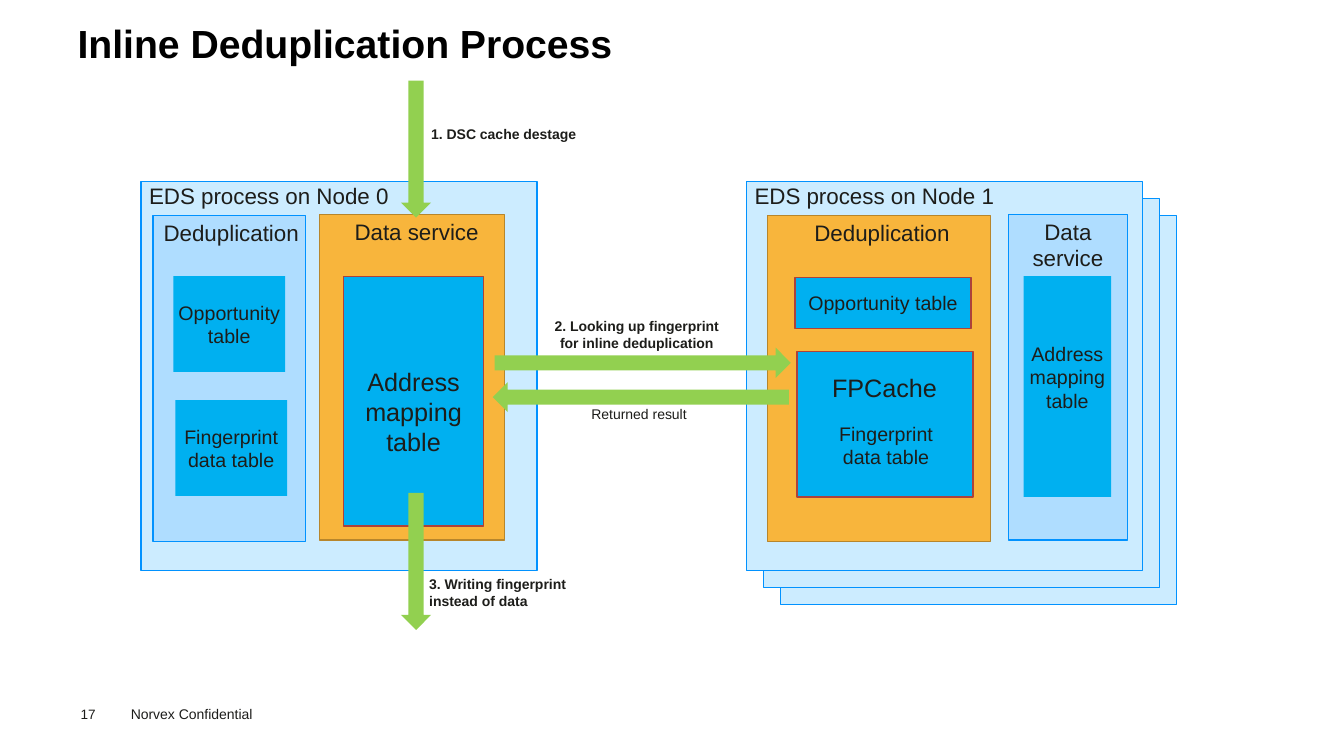
from pptx import Presentation
from pptx import util as u
from pptx.dml.color import RGBColor
from pptx.enum import shapes, text

EMU_PER_PX = 9144
COLORS = {
    "ink": "1D1D1A", "title": "000000", "footer": "1D1D1B",
    "node": "CCECFF", "panel": "AFDDFF", "blue": "0192FF",
    "active": "F8B53C", "active_line": "B7862C",
    "table": "00B0F0", "red": "AD423A", "arrow": "92D050",
}
SHAPE = shapes.MSO_SHAPE
TOP, MIDDLE, BOTTOM = (text.MSO_ANCHOR.TOP, text.MSO_ANCHOR.MIDDLE,
                       text.MSO_ANCHOR.BOTTOM)
LEFT, CENTER = text.PP_ALIGN.LEFT, text.PP_ALIGN.CENTER
NODE_W, NODE_H, PANEL_H, STACK_STEP = 393, 386, 323, 17


def px(n):
    return u.Emu(n * EMU_PER_PX)


def color(name):
    return RGBColor.from_string(COLORS[name])


def write(holder, lines, size, align=LEFT, anchor=TOP, inset=(0, 0, 0, 0),
          ink="ink", bold=False):
    frame = holder.text_frame
    frame.word_wrap = True
    frame.vertical_anchor = anchor
    (frame.margin_left, frame.margin_top,
     frame.margin_right, frame.margin_bottom) = map(px, inset)
    frame.text = lines
    for paragraph in frame.paragraphs:
        paragraph.alignment = align
        font = paragraph.font
        font.name, font.size, font.bold = "Arial", u.Pt(size), bold
        font.color.rgb = color(ink)


def label(slide, box, lines, size, **style):
    write(slide.shapes.add_textbox(*map(px, box)), lines, size, **style)


def block(slide, box, fill, line=None, kind=SHAPE.RECTANGLE):
    shape = slide.shapes.add_shape(kind, *map(px, box))
    shape.shadow.inherit = False
    shape.fill.solid()
    shape.fill.fore_color.rgb = color(fill)
    if line:
        shape.line.color.rgb = color(line)
        shape.line.width = u.Pt(1)
    else:
        shape.line.fill.background()
    return shape


def panel(slide, box, heading, active=False, nudge=0):
    fill, line = ("active", "active_line") if active else ("panel", "blue")
    service = block(slide, box, fill, line)
    write(service, heading, 16, CENTER, inset=(nudge, 3, 0, 0))


def table(slide, box, lines, size=14, active=False, anchor=MIDDLE,
          inset=(0, 0, 0, 0)):
    store = block(slide, box, "table", "red" if active else None)
    write(store, lines, size, CENTER, anchor, inset)


def node(slide, left, top, heading, copies=1):
    for depth in reversed(range(copies)):
        shift = depth * STACK_STEP
        process = block(slide, (left + shift, top + shift, NODE_W, NODE_H),
                        "node", "blue")
    write(process, heading, 16, inset=(8, 1, 0, 0))


def requesting_node(slide, left, top):
    node(slide, left, top, "EDS process on Node 0")
    panel(slide, (left + 12, top + 34, 151, PANEL_H), "Deduplication", nudge=4)
    table(slide, (left + 32, top + 94, 111, 95), "Opportunity table")
    table(slide, (left + 34, top + 217, 111, 95), "Fingerprint\ndata table")
    panel(slide, (left + 177, top + 33, 184, PANEL_H), "Data service",
          active=True, nudge=9)
    table(slide, (left + 201, top + 94, 139, 248), "Address mapping table",
          size=18, active=True, inset=(10, 20, 10, 0))


def lookup_node(slide, left, top):
    node(slide, left, top, "EDS process on Node 1", copies=3)
    panel(slide, (left + 21, top + 34, 221, PANEL_H), "Deduplication",
          active=True, nudge=6)
    table(slide, (left + 48, top + 95, 175, 51), "Opportunity table",
          active=True)
    table(slide, (left + 50, top + 169, 175, 144), "Fingerprint\ndata table",
          active=True, anchor=BOTTOM, inset=(2, 0, 0, 28))
    table(slide, (left + 61, top + 179, 152, 50), "FPCache", size=18)
    panel(slide, (left + 260, top + 33, 118, PANEL_H), "Data service")
    table(slide, (left + 275, top + 94, 87, 219), "Address\nmapping\ntable",
          inset=(0, 0, 0, 19))


def steps(slide, left, top):
    for dx, dy, width, height, kind in (
            (0, 0, 30, 136, SHAPE.DOWN_ARROW),
            (93, 265, 294, 30, SHAPE.RIGHT_ARROW),
            (91, 299, 294, 30, SHAPE.LEFT_ARROW),
            (0, 409, 30, 136, SHAPE.DOWN_ARROW)):
        block(slide, (left + dx, top + dy, width, height), "arrow", kind=kind)
    for dx, dy, width, height, caption, align, bold in (
            (30, 45, 159, 17, "1. DSC cache destage", LEFT, True),
            (144, 235, 180, 34,
             "2. Looking up fingerprint for inline deduplication", CENTER, True),
            (189, 322, 116, 17, "Returned result", LEFT, False),
            (28, 491, 182, 34,
             "3. Writing fingerprint instead of data", LEFT, True)):
        label(slide, (left + dx, top + dy, width, height), caption, 10,
              align=align, bold=bold)


def title_and_footer(slide):
    label(slide, (77, 14, 1229, 53), "Inline Deduplication Process", 28,
          inset=(0, 5, 10, 5), ink="title", bold=True)
    label(slide, (80, 700, 55, 16), "17", 9.7, ink="footer")
    label(slide, (120, 695, 160, 27), "Norvex Confidential", 10,
          inset=(10, 5, 10, 5), ink="footer")


def main():
    deck = Presentation()
    deck.slide_width, deck.slide_height = px(1334), px(750)
    slide = deck.slides.add_slide(deck.slide_layouts[6])
    title_and_footer(slide)
    requesting_node(slide, 140, 180)
    lookup_node(slide, 741, 180)
    steps(slide, 398, 80)
    deck.save("out.pptx")


if __name__ == "__main__":
    main()
